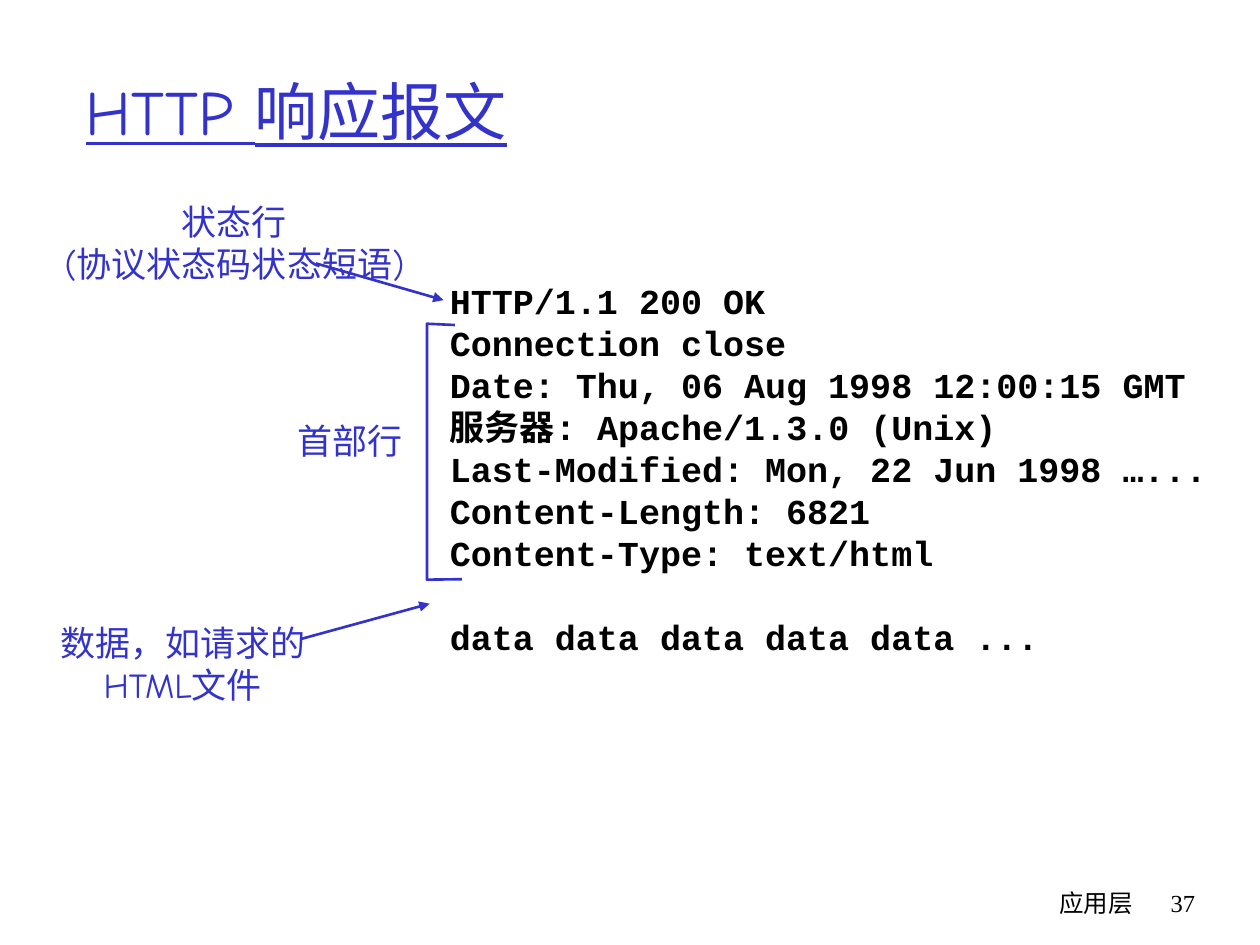
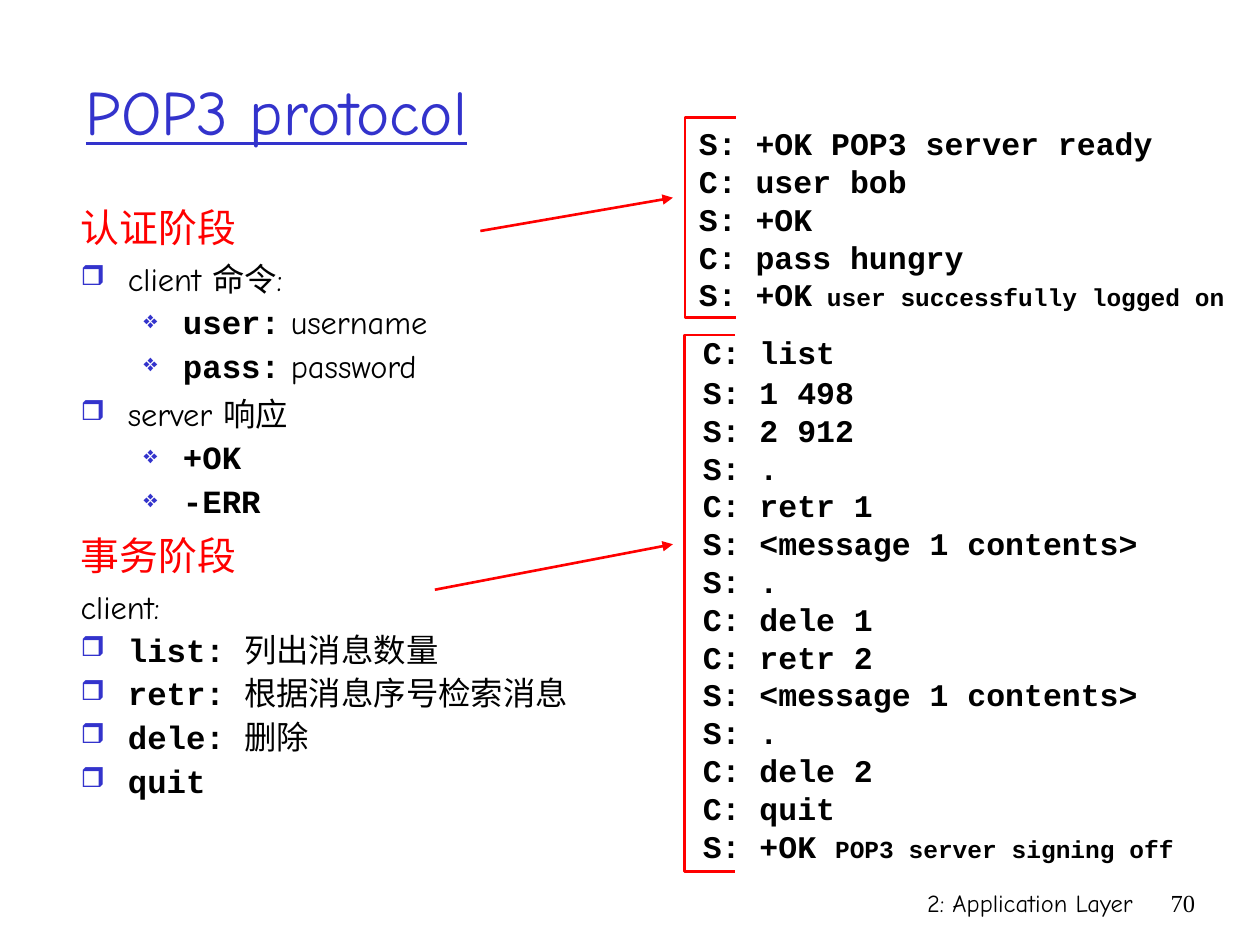
from lxml import etree
from pptx import Presentation
from pptx import util as u
from pptx.dml.color import RGBColor
from pptx.enum import text
from pptx.oxml import ns

Pt = u.Pt
COLORS = {"blue": "3333CC", "red": "FF0000", "black": "000000"}
SANS, MONO, SERIF = "Comic Neue", "Courier New", "Times New Roman"
ALIGN = {"l": text.PP_ALIGN.LEFT, "c": text.PP_ALIGN.CENTER, "r": text.PP_ALIGN.RIGHT}

TITLE = {"name": SANS, "size": 36, "color": "blue", "underline": True}
LABEL = {"name": SANS, "size": 20, "color": "blue"}
HEADING = {"name": SANS, "size": 22.2, "color": "red"}
BODY = {"name": SANS, "size": 18.5, "color": "black"}
COMMAND = {**BODY, "name": MONO, "bold": True}
MESSAGE = {**COMMAND, "size": 20}
DIALOG = {**COMMAND, "size": 18}
REMARK = {**COMMAND, "size": 14}
FOOTER = {"name": SANS, "size": 14, "color": "black"}
PAGE_NUMBER = {**FOOTER, "name": SERIF}

SQUARE = {"bullet": "❒", "bullet_size": 85, "left": 27, "indent": -27}
DIAMOND = {"bullet": "❖", "bullet_size": 75, "left": 58.5, "indent": -22.5, "level": 1}
TIGHT = {"line_spacing": 0.9}

RESPONSE = [
    "HTTP/1.1 200 OK",
    "Connection close",
    "Date: Thu, 06 Aug 1998 12:00:15 GMT",
    "服务器: Apache/1.3.0 (Unix)",
    "Last-Modified: Mon, 22 Jun 1998 …...",
    "Content-Length: 6821",
    "Content-Type: text/html",
]
RESPONSE_DATA = "data data data data data ..."

LABELS = [
    ((14, 111, 240, 55), ["状态行", "(协议状态码状态短语)"], "c"),
    ((150, 236, 87, 32), ["首部行"], "r"),
    ((23, 351.5, 163, 55), ["数据，如请求的HTML文件"], "c"),
]

PHASES = [
    ([("认证阶段", HEADING)], {}),
    ([("client 命令:", BODY)], SQUARE),
    ([("user:", COMMAND), (" username", BODY)], {**DIAMOND, **TIGHT}),
    ([("pass:", COMMAND), (" password", BODY)], {**DIAMOND, **TIGHT}),
    ([("server 响应", BODY)], SQUARE),
    ([("+OK", COMMAND)], {**DIAMOND, **TIGHT}),
    ([("-ERR", COMMAND)], {**DIAMOND, **TIGHT}),
    ([("事务阶段", HEADING)], {"space_before": 6}),
    ([("client:", BODY)], {}),
    ([("list: ", COMMAND), ("列出消息数量", BODY)], {**SQUARE, **TIGHT}),
    ([("retr: ", COMMAND), ("根据消息序号检索消息", BODY)], {**SQUARE, **TIGHT}),
    ([("dele: ", COMMAND), ("删除", BODY)], {**SQUARE, **TIGHT}),
    ([("quit", COMMAND)], {**SQUARE, **TIGHT}),
]

LOGIN = ["S: +OK POP3 server ready", "C: user bob", "S: +OK", "C: pass hungry"]
LOGIN_END = [("S: +OK", DIALOG), (" user successfully logged on", REMARK)]

TRANSACTION = [
    "C: list", "S: 1 498", "S: 2 912", "S: .", "C: retr 1",
    "S: <message 1 contents>", "S: .", "C: dele 1", "C: retr 2",
    "S: <message 1 contents>", "S: .", "C: dele 2", "C: quit",
]
TRANSACTION_END = [("S: +OK ", DIALOG), ("POP3 server signing off", REMARK)]


def plain(lines, style):
    return [([(line, style)], {}) for line in lines]


def add_bullet(p, bullet, bullet_size):
    pPr = p._p.get_or_add_pPr()
    clr = etree.SubElement(pPr, ns.qn("a:buClr"))
    etree.SubElement(clr, ns.qn("a:srgbClr"), val=COLORS["blue"])
    etree.SubElement(pPr, ns.qn("a:buSzPct"), val=str(bullet_size * 1000))
    etree.SubElement(pPr, ns.qn("a:buChar"), char=bullet)


def add_run(p, words, style):
    r = p.add_run()
    r.text = words
    for key, value in style.items():
        if key == "color":
            r.font.color.rgb = RGBColor.from_string(COLORS[value])
        else:
            setattr(r.font, key, Pt(value) if key == "size" else value)


def add_text(s, box, paragraphs, align="l", gap=0, anchor=text.MSO_ANCHOR.TOP):
    tf = s.shapes.add_textbox(*map(Pt, box)).text_frame
    tf.word_wrap = True
    tf.vertical_anchor = anchor
    for i, (runs, layout) in enumerate(paragraphs):
        p = tf.paragraphs[0] if i == 0 else tf.add_paragraph()
        if "bullet" in layout:
            add_bullet(p, layout["bullet"], layout["bullet_size"])
            pPr = p._p.get_or_add_pPr()
            pPr.set("marL", str(Pt(layout["left"])))
            pPr.set("indent", str(Pt(layout["indent"])))
        p.alignment = ALIGN[align]
        p.level = layout.get("level", 0)
        p.line_spacing = layout.get("line_spacing")
        p.space_before = Pt(layout.get("space_before", gap) if i else 0)
        for words, style in runs:
            add_run(p, words, style)


def set_line(line, color):
    line.color.rgb = RGBColor.from_string(COLORS[color])
    line.width = Pt(1.5)


def add_arrow(s, start, end, color):
    cxn = s.shapes.add_connector(1, *map(Pt, start + end))
    set_line(cxn.line, color)
    spPr = cxn.element.spPr
    etree.SubElement(spPr.find(ns.qn("a:ln")), ns.qn("a:tailEnd"), type="triangle")
    etree.SubElement(spPr, ns.qn("a:effectLst"))


def add_bracket(s, points, color):
    first, *rest = [(Pt(x), Pt(y)) for x, y in points]
    fb = s.shapes.build_freeform(*first)
    fb.add_line_segments(rest, close=False)
    sp = fb.convert_to_shape()
    sp.fill.background()
    sp.shadow.inherit = False
    set_line(sp.line, color)


def add_slide(prs, title, footer, number):
    s = prs.slides.add_slide(prs.slide_layouts[6])
    add_text(s, (42, 18, 612, 90), plain([title], TITLE), anchor=text.MSO_ANCHOR.MIDDLE)
    add_text(s, (426, 504, 228.5, 36), plain([footer], FOOTER), "r")
    add_text(s, (654, 504, 36, 36), plain([number], PAGE_NUMBER), "r")
    return s


def response_slide(prs):
    s = add_slide(prs, "HTTP 响应报文", "应用层", "37")
    data = ([(RESPONSE_DATA, MESSAGE)], {"space_before": 24})
    add_text(s, (250, 156.25, 460, 223), plain(RESPONSE, MESSAGE) + [data])
    for box, lines, align in LABELS:
        add_text(s, box, plain(lines, LABEL), align)
    add_arrow(s, (180.5, 150.5), (253.5, 171.5), "blue")
    add_arrow(s, (172.5, 365), (245.5, 345), "blue")
    add_bracket(s, [(260, 185.75), (244, 185), (244, 331.25), (264, 331)], "blue")


def pop3_slide(prs):
    s = add_slide(prs, "POP3 protocol", "2: Application Layer", "70")
    add_text(s, (39, 113, 312.5, 366), PHASES, gap=5)
    login = plain(LOGIN, DIALOG) + [(LOGIN_END, {})]
    add_text(s, (392.25, 67.5, 325, 116), login)
    transaction = plain(TRANSACTION, DIALOG) + [(TRANSACTION_END, {})]
    transaction[1] = (transaction[1][0], {"space_before": 1.3})
    add_text(s, (394.5, 186.75, 300, 312), transaction)
    for left, top, bottom in [(391.5, 67, 181.5), (391, 191.5, 498)]:
        tip = left + 29
        add_bracket(s, [(tip, top), (left, top), (left, bottom), (tip, bottom)], "red")
    add_arrow(s, (274.5, 132), (384.5, 113), "red")
    add_arrow(s, (248.5, 337), (384.5, 311), "red")


def main():
    prs = Presentation()
    prs.slide_width, prs.slide_height = Pt(720), Pt(540)
    response_slide(prs)
    pop3_slide(prs)
    prs.save("out.pptx")


if __name__ == "__main__":
    main()
